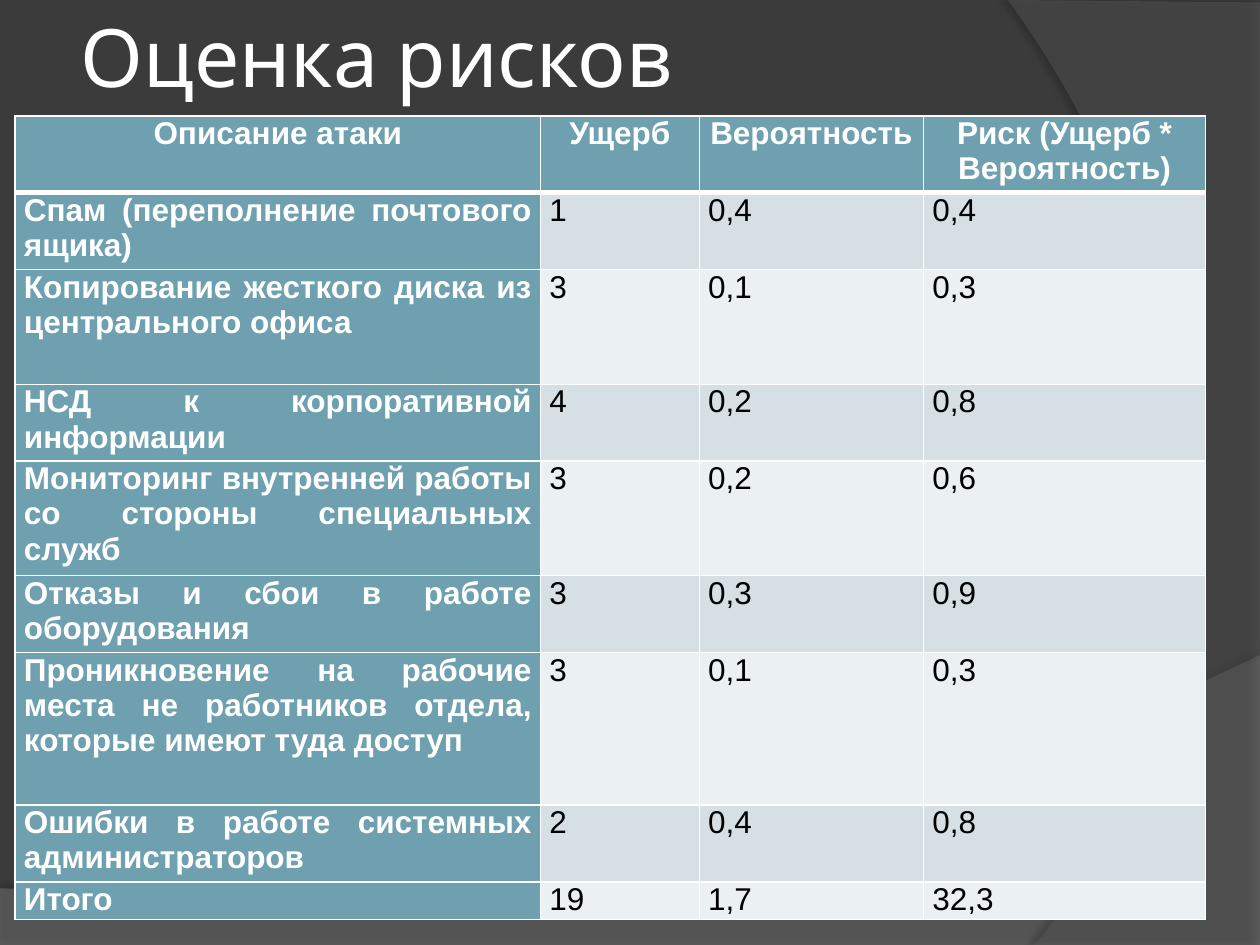
import pptx
import pptx.util
import pptx.dml.color
import pptx.enum.text
import pptx.oxml
import pptx.oxml.ns
from lxml import etree

Inches = pptx.util.Inches
Pt = pptx.util.Pt
RGBColor = pptx.dml.color.RGBColor
ALIGN = pptx.enum.text.PP_ALIGN
qn = pptx.oxml.ns.qn

BACKGROUND = RGBColor(0x3B, 0x3B, 0x3B)
WAVE = RGBColor(0x7F, 0x7F, 0x7F)
ARC = RGBColor(0x5E, 0x5E, 0x5E)
WHITE = RGBColor(0xFF, 0xFF, 0xFF)
BLACK = RGBColor(0, 0, 0)
TEAL = RGBColor(0x6E, 0xA0, 0xB0)
BANDS = (RGBColor(0xD5, 0xDF, 0xE4), RGBColor(0xEB, 0xF0, 0xF2))

TITLE = "Оценка рисков"
ROWS = [
    ("Описание атаки", "Ущерб", "Вероятность", "Риск (Ущерб * Вероятность)"),
    ("Спам (переполнение почтового ящика)", "1", "0,4", "0,4"),
    ("Копирование жесткого диска из центрального офиса", "3", "0,1", "0,3"),
    ("НСД к корпоративной информации", "4", "0,2", "0,8"),
    ("Мониторинг внутренней работы со стороны специальных служб", "3", "0,2", "0,6"),
    ("Отказы и сбои в работе оборудования", "3", "0,3", "0,9"),
    ("Проникновение на рабочие места не работников отдела, которые имеют туда доступ",
     "3", "0,1", "0,3"),
    ("Ошибки в работе системных администраторов", "2", "0,4", "0,8"),
    ("Итого", "19", "1,7", "32,3"),
]
COL_WIDTHS = (4.17, 1.26, 1.78, 2.24)
ROW_HEIGHTS = (0.61, 0.61, 0.91, 0.61, 0.91, 0.61, 1.21, 0.61, 0.3)

DECORATIONS = [
    dict(corners=[(0, 7.05), (0, 7.51), (10, 7.51)],
         curve=[(10, 5.2), (5.59, 7.29), (3.91, 7.19), (0, 7.05)],
         color=WAVE, opacity=45, shadow=(35, 4, 3.5, 270)),
    dict(corners=[(10, 0.02), (10, 7.5)],
         curve=[(8.21, 7.5), (9.35, 6.19), (10.18, 3), (8, 0)],
         color=ARC, opacity=40, shadow=(45, 4, 4, 180)),
]


def bezier(a, b, c, d, steps=40):
    for i in range(steps + 1):
        t = i / steps
        u = 1 - t
        yield tuple(u**3 * a[k] + 3 * u * u * t * b[k] + 3 * u * t * t * c[k] + t**3 * d[k]
                    for k in (0, 1))


def set_alpha(color_element, percent):
    etree.SubElement(color_element, qn("a:alpha"), val=str(percent * 1000))


def add_decoration(s, corners, curve, color, opacity, shadow):
    points = [(Inches(x), Inches(y)) for x, y in corners + list(bezier(*curve))]
    builder = s.shapes.build_freeform(*points[0], scale=1.0)
    builder.add_line_segments(points[1:], close=True)
    sp = builder.convert_to_shape()
    sp.fill.solid()
    sp.fill.fore_color.rgb = color
    sp.line.fill.background()
    sp.shadow.inherit = False
    spPr = sp._element.spPr
    set_alpha(spPr.find(qn("a:solidFill"))[0], opacity)
    strength, blur, distance, angle = shadow
    outer = etree.SubElement(spPr.find(qn("a:effectLst")), qn("a:outerShdw"),
                             blurRad=str(Pt(blur)), dist=str(Pt(distance)),
                             dir=str(angle * 60000), rotWithShape="0")
    set_alpha(etree.SubElement(outer, qn("a:srgbClr"), val=str(BLACK)), strength)


def style_run(p, font, size, color, bold=False):
    f = p.runs[0].font
    f.name, f.size, f.bold = font, Pt(size), bold
    f.color.rgb = color


def set_borders(cell, bottom, top):
    tcPr = cell._tc.get_or_add_tcPr()
    for i, (side, width) in enumerate((("L", 1), ("R", 1), ("T", top), ("B", bottom))):
        ln = etree.Element(qn("a:ln" + side), w=str(Pt(width)))
        fill = etree.SubElement(ln, qn("a:solidFill"))
        etree.SubElement(fill, qn("a:srgbClr"), val=str(WHITE))
        tcPr.insert(i, ln)


def add_title(s):
    tf = s.shapes.add_textbox(Inches(0.59), Inches(-0.19), Inches(8.17), Inches(1.25)).text_frame
    tf.word_wrap = True
    tf.vertical_anchor = pptx.enum.text.MSO_ANCHOR.MIDDLE
    tf.margin_left = tf.margin_right = tf.margin_top = tf.margin_bottom = Inches(0.05)
    tf.text = TITLE
    style_run(tf.paragraphs[0], "Cabin", 46, WHITE)


def add_risk_table(s):
    table = s.shapes.add_table(len(ROWS), len(COL_WIDTHS), Inches(0.12), Inches(0.92),
                               Inches(sum(COL_WIDTHS)), Inches(sum(ROW_HEIGHTS))).table
    table.first_col = True
    for column, width in zip(table.columns, COL_WIDTHS):
        column.width = Inches(width)
    for row, height in zip(table.rows, ROW_HEIGHTS):
        row.height = Inches(height)
    for i, values in enumerate(ROWS):
        for j, value in enumerate(values):
            cell = table.cell(i, j)
            heading = i == 0 or j == 0
            cell.margin_left = cell.margin_right = Inches(0.07)
            cell.margin_top = cell.margin_bottom = 0
            cell.fill.solid()
            cell.fill.fore_color.rgb = TEAL if heading else BANDS[(i - 1) % 2]
            set_borders(cell, bottom=3 if i == 0 else 1, top=3 if i == 1 else 1)
            cell.text_frame.text = value
            p = cell.text_frame.paragraphs[0]
            p.alignment = ALIGN.CENTER if i == 0 else ALIGN.JUSTIFY
            if i == 0 and j > 0:
                p.space_before = Pt(6)
            style_run(p, "Arial", 18, WHITE if heading else BLACK, heading)


def main():
    prs = pptx.Presentation()
    prs.slide_width, prs.slide_height = Inches(10), Inches(7.5)
    s = prs.slides.add_slide(prs.slide_layouts[6])
    s.background.fill.solid()
    s.background.fill.fore_color.rgb = BACKGROUND
    for decoration in DECORATIONS:
        add_decoration(s, **decoration)
    add_title(s)
    add_risk_table(s)
    prs.save("out.pptx")


if __name__ == "__main__":
    main()
